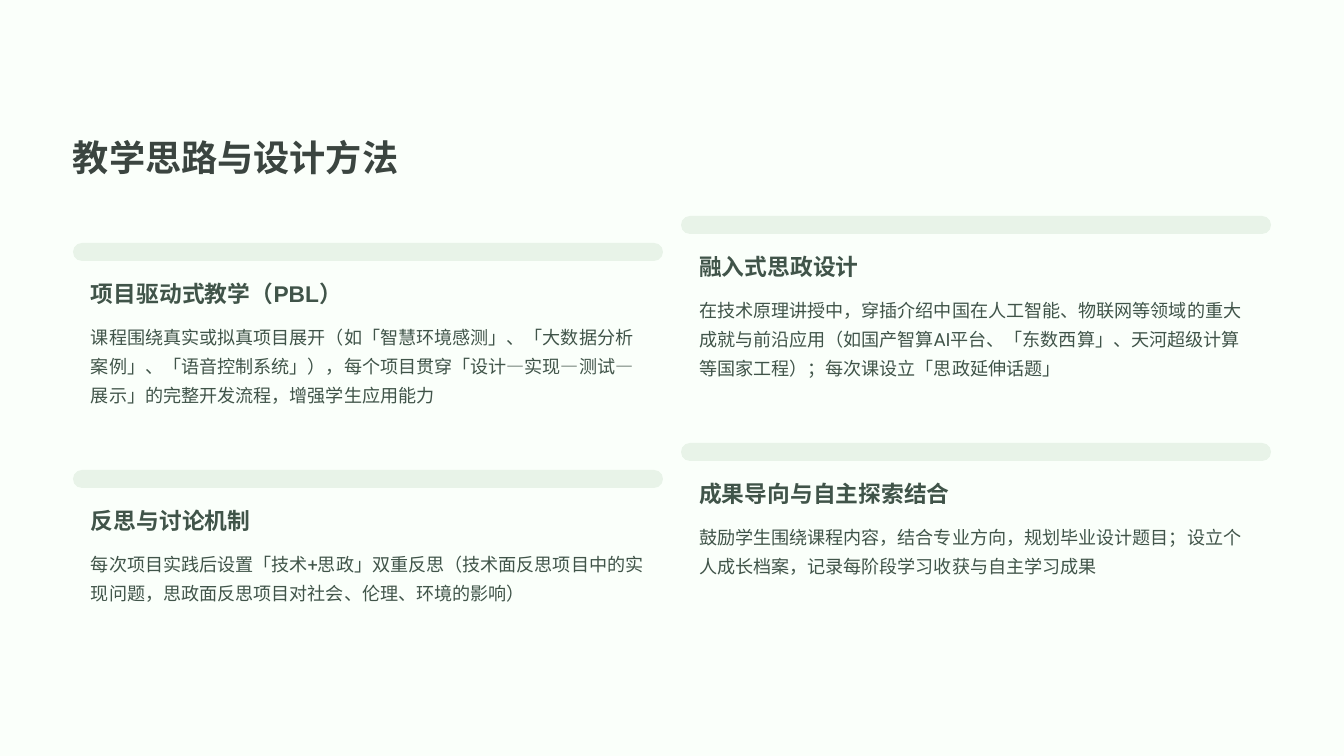
import pptx
import pptx.util
import pptx.dml.color
import pptx.enum.shapes
import pptx.enum.text

PX = 914400 // 84  # EMU per px
COLORS = {"page": "FAFFFA", "title": "3B4540", "text": "405449", "bar": "E8F3E8"}
STYLES = {
    "title": ({"name": "Arial", "size": 31, "bold": True}, "title", 39),
    "heading": ({"name": "Arial", "size": 19.5, "bold": True}, "text", 24),
    "body": ({"name": "Roboto", "size": 15.5, "bold": False}, "text", 25),
}

# Two columns of cards: heading, body, body line count
COLUMNS = [
    (73, 243, [
        ("项目驱动式教学（PBL）",
         "课程围绕真实或拟真项目展开（如「智慧环境感测」、「大数据分析案例」、「语音控制系统」），"
         "每个项目贯穿「设计—实现—测试—展示」的完整开发流程，增强学生应用能力", 3),
        ("反思与讨论机制",
         "每次项目实践后设置「技术+思政」双重反思（技术面反思项目中的实现问题，"
         "思政面反思项目对社会、伦理、环境的影响）", 2),
    ]),
    (681, 216, [
        ("融入式思政设计",
         "在技术原理讲授中，穿插介绍中国在人工智能、物联网等领域的重大成就与前沿应用"
         "（如国产智算AI平台、「东数西算」、天河超级计算等国家工程）；每次课设立「思政延伸话题」", 3),
        ("成果导向与自主探索结合",
         "鼓励学生围绕课程内容，结合专业方向，规划毕业设计题目；"
         "设立个人成长档案，记录每阶段学习收获与自主学习成果", 2),
    ]),
]
CARD_WIDTH, CARD_PITCH, BAR_HEIGHT, INSET = 590, 227, 18, 18


def rgb(name):
    return pptx.dml.color.RGBColor.from_string(COLORS[name])


def add_text(s, box, text, style):
    font, color, leading = STYLES[style]
    tf = s.shapes.add_textbox(*(v * PX for v in box)).text_frame
    frame = {"margin_left": 0, "margin_top": 0, "margin_right": 0, "margin_bottom": 0,
             "word_wrap": True, "vertical_anchor": pptx.enum.text.MSO_ANCHOR.TOP}
    for key, value in frame.items():
        setattr(tf, key, value)
    p = tf.paragraphs[0]
    p.line_spacing = pptx.util.Pt(leading)
    r = p.add_run()
    r.text = text
    for key, value in font.items():
        setattr(r.font, key, pptx.util.Pt(value) if key == "size" else value)
    r.font.color.rgb = rgb(color)


def add_card(s, x, y, heading, body, lines):
    # Rounded bar
    bar = s.shapes.add_shape(pptx.enum.shapes.MSO_SHAPE.ROUNDED_RECTANGLE,
                             x * PX, y * PX, CARD_WIDTH * PX, BAR_HEIGHT * PX)
    bar.adjustments[0] = 0.5
    bar.shadow.inherit = False
    bar.fill.solid()
    bar.fill.fore_color.rgb = rgb("bar")
    bar.line.fill.background()
    # Heading and body share the inset text column
    text_x, text_width = x + INSET, CARD_WIDTH - 2 * INSET
    add_text(s, (text_x, y + 36, text_width, 29), heading, "heading")
    add_text(s, (text_x, y + 76, text_width, 29 * lines), body, "body")


def add_columns(s):
    for x, top, cards in COLUMNS:
        for row, card in enumerate(cards):
            add_card(s, x, top + row * CARD_PITCH, *card)


def main():
    prs = pptx.Presentation()
    prs.slide_width, prs.slide_height = 1344 * PX, 756 * PX
    s = prs.slides.add_slide(prs.slide_layouts[6])
    s.background.fill.solid()
    s.background.fill.fore_color.rgb = rgb("page")
    add_text(s, (73, 133, 365, 45), "教学思路与设计方法", "title")
    add_columns(s)
    prs.save("out.pptx")


if __name__ == "__main__":
    main()
